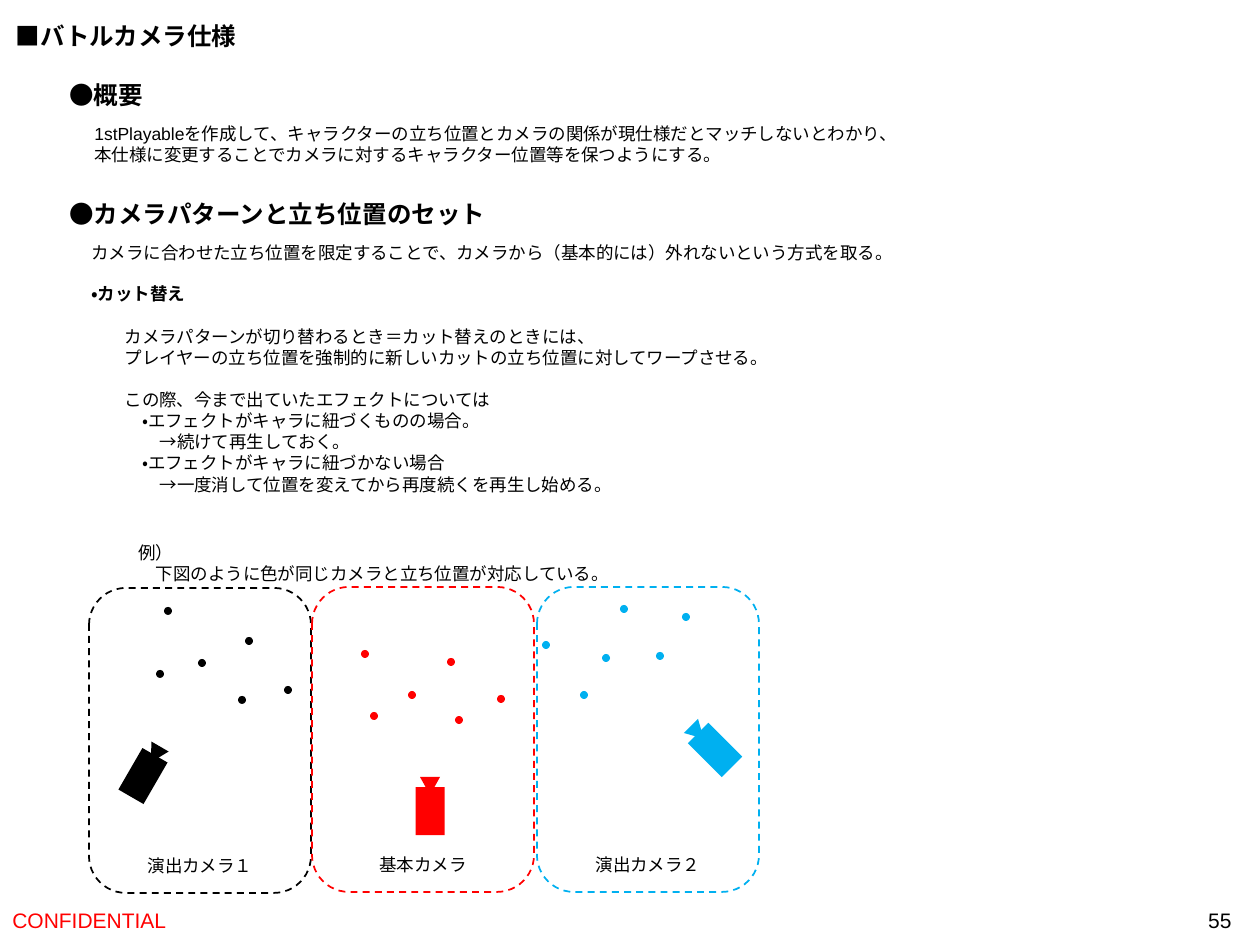
"""Build the battle camera specification slide."""
from math import cos, radians, sin

from lxml import etree
from pptx import Presentation
from pptx.dml.color import RGBColor
from pptx.enum.dml import MSO_LINE
from pptx.enum.lang import MSO_LANGUAGE_ID
from pptx.enum.shapes import MSO_SHAPE
from pptx.enum.text import MSO_ANCHOR, MSO_AUTO_SIZE, PP_ALIGN
from pptx.oxml.ns import qn
from pptx.util import Emu, Pt

TOP, MIDDLE, BOTTOM = MSO_ANCHOR.TOP, MSO_ANCHOR.MIDDLE, MSO_ANCHOR.BOTTOM
LEFT, CENTER, RIGHT = PP_ALIGN.LEFT, PP_ALIGN.CENTER, PP_ALIGN.RIGHT
GROW, FIXED = MSO_AUTO_SIZE.SHAPE_TO_FIT_TEXT, MSO_AUTO_SIZE.NONE
ELLIPSE, TRIANGLE = MSO_SHAPE.OVAL, MSO_SHAPE.ISOSCELES_TRIANGLE
RECTANGLE, ROUNDED = MSO_SHAPE.RECTANGLE, MSO_SHAPE.ROUNDED_RECTANGLE
DASH, JAPANESE = MSO_LINE.DASH, MSO_LANGUAGE_ID.JAPANESE

THEME = {
    "black": RGBColor(0x00, 0x00, 0x00),
    "red": RGBColor(0xFF, 0x00, 0x00),
    "blue": RGBColor(0x00, 0xB0, 0xF0),
    "heading": 14, "footer": 12, "text": 10,
    "main": "Arial", "accent": "Quicksand",
}
PX = 914400 / 126
STEP = 10
GAP = 12

TITLE = ("■バトルカメラ仕様", (3, 15, 248, 43))
HEADINGS = [
    ("●概要", (57, 74, 100, 43)),
    ("●カメラパターンと立ち位置のセット", (57, 193, 446, 43)),
]
NOTES = [
    (["1stPlayableを作成して、キャラクターの立ち位置とカメラの関係が現仕様だとマッチしないとわかり、",
      "本仕様に変更することでカメラに対するキャラクター位置等を保つようにする。"],
     (82, 117, 847, 55), False),
    (["カメラに合わせた立ち位置を限定することで、カメラから（基本的には）外れないという方式を取る。"],
     (79, 236, 838, 34), False),
    (["・カット替え"], (79, 277, 131, 34), True),
    (["例）", ("下図のように色が同じカメラと立ち位置が対応している。", 1, 0)],
     (126, 536, 503, 55), False),
]
CUT_RULES = [
    "カメラパターンが切り替わるとき＝カット替えのときには、",
    "プレイヤーの立ち位置を強制的に新しいカットの立ち位置に対してワープさせる。",
    ("この際、今まで出ていたエフェクトについては", 0, GAP),
    ("・エフェクトがキャラに紐づくものの場合。", 1, 0),
    ("→続けて再生しておく。", 2, 0),
    ("・エフェクトがキャラに紐づかない場合", 1, 0),
    ("→一度消して位置を変えてから再度続くを再生し始める。", 2, 0),
]
CUT_RULES_BOX = (112, 320, 679, 183)
FOOTERS = [
    ("CONFIDENTIAL", (0, 895, 426, 50), "red", LEFT),
    ("55", (960, 895, 284, 50), "black", RIGHT),
]
CAMERAS = [
    {"label": "演出カメラ１", "color": "black", "corner": (89, 588),
     "body": (143, 776), "angle": 210,
     "positions": [(168, 611), (202, 663), (249, 641), (160, 674), (242, 700), (288, 690)]},
    {"label": "基本カメラ", "color": "red", "corner": (312, 587),
     "body": (430, 811), "angle": 180,
     "positions": [(365, 654), (412, 695), (451, 662), (374, 716), (459, 720), (501, 699)]},
    {"label": "演出カメラ２", "color": "blue", "corner": (537, 587),
     "body": (715, 750), "angle": 135,
     "positions": [(546, 645), (606, 658), (624, 609), (584, 695), (660, 656), (686, 617)]},
]
FRAME_SIZE, BODY_SIZE, LENS_SIZE, DOT_SIZE = (222, 305), (29, 48), (20, 18), (8, 8)
LENS_OFFSET = 25


def px(*lengths):
    return [Emu(round(length * PX)) for length in lengths]


def place(shape, box):
    shape.left, shape.top, shape.width, shape.height = px(*box)
    return shape


def write(shape, lines, size="text", font="main", color="black", bold=False,
          align=LEFT, anchor=TOP, wrap=False, fit=GROW):
    frame = shape.text_frame
    frame.word_wrap, frame.auto_size, frame.vertical_anchor = wrap, fit, anchor
    for number, line in enumerate(lines):
        text, level, gap = (line, 0, 0) if isinstance(line, str) else line
        paragraph = frame.paragraphs[0] if number == 0 else frame.add_paragraph()
        paragraph.alignment = align
        paragraph.space_before = Pt(gap)
        properties = paragraph._p.get_or_add_pPr()
        properties.set("marL", str(Pt(level * STEP)))
        properties.set("indent", "0")
        etree.SubElement(properties, qn("a:buNone"))
        run = paragraph.add_run()
        run.text = text
        run.font.name = THEME[font]
        run.font.size = Pt(THEME[size])
        run.font.bold = bold
        run.font.color.rgb = THEME[color]
        run.font.language_id = JAPANESE


def add_solid(shapes, kind, center, size, color, angle=0):
    (x, y), (width, height) = center, size
    solid = shapes.add_shape(kind, *px(x - width / 2, y - height / 2, width, height))
    solid.shadow.inherit = False
    solid.rotation = angle
    solid.fill.solid()
    solid.fill.fore_color.rgb = THEME[color]
    solid.line.fill.background()


def add_camera(shapes, label, color, corner, body, angle, positions):
    standing = shapes.add_group_shape().shapes
    for position in positions:
        add_solid(standing, ELLIPSE, position, DOT_SIZE, color)
    turn = radians(angle)
    lens = body[0] - LENS_OFFSET * sin(turn), body[1] + LENS_OFFSET * cos(turn)
    camera = shapes.add_group_shape().shapes
    add_solid(camera, TRIANGLE, lens, LENS_SIZE, color, angle)
    add_solid(camera, RECTANGLE, body, BODY_SIZE, color, angle)
    cut = shapes.add_shape(ROUNDED, *px(*corner, *FRAME_SIZE))
    cut.shadow.inherit = False
    cut.fill.background()
    cut.line.color.rgb = THEME[color]
    cut.line.width = Pt(1)
    cut.line.dash_style = DASH
    write(cut, [label], font="accent", align=CENTER, anchor=BOTTOM, wrap=True, fit=FIXED)


def main():
    deck = Presentation()
    deck.slide_width, deck.slide_height = px(1260, 945)
    slide = deck.slides.add_slide(deck.slide_layouts[1])
    shapes = slide.shapes
    title, title_box = TITLE
    write(place(shapes.title, title_box), [title], size="heading", bold=True)
    write(place(slide.placeholders[1], CUT_RULES_BOX), CUT_RULES)
    for heading, box in HEADINGS:
        write(shapes.add_textbox(*px(*box)), [heading], size="heading", font="accent", bold=True)
    for lines, box, bold in NOTES:
        write(shapes.add_textbox(*px(*box)), lines, bold=bold)
    for footer, box, color, align in FOOTERS:
        write(shapes.add_textbox(*px(*box)), [footer], size="footer", color=color,
              align=align, anchor=MIDDLE, wrap=True, fit=FIXED)
    for camera in CAMERAS:
        add_camera(shapes, **camera)
    deck.save("out.pptx")


if __name__ == "__main__":
    main()
